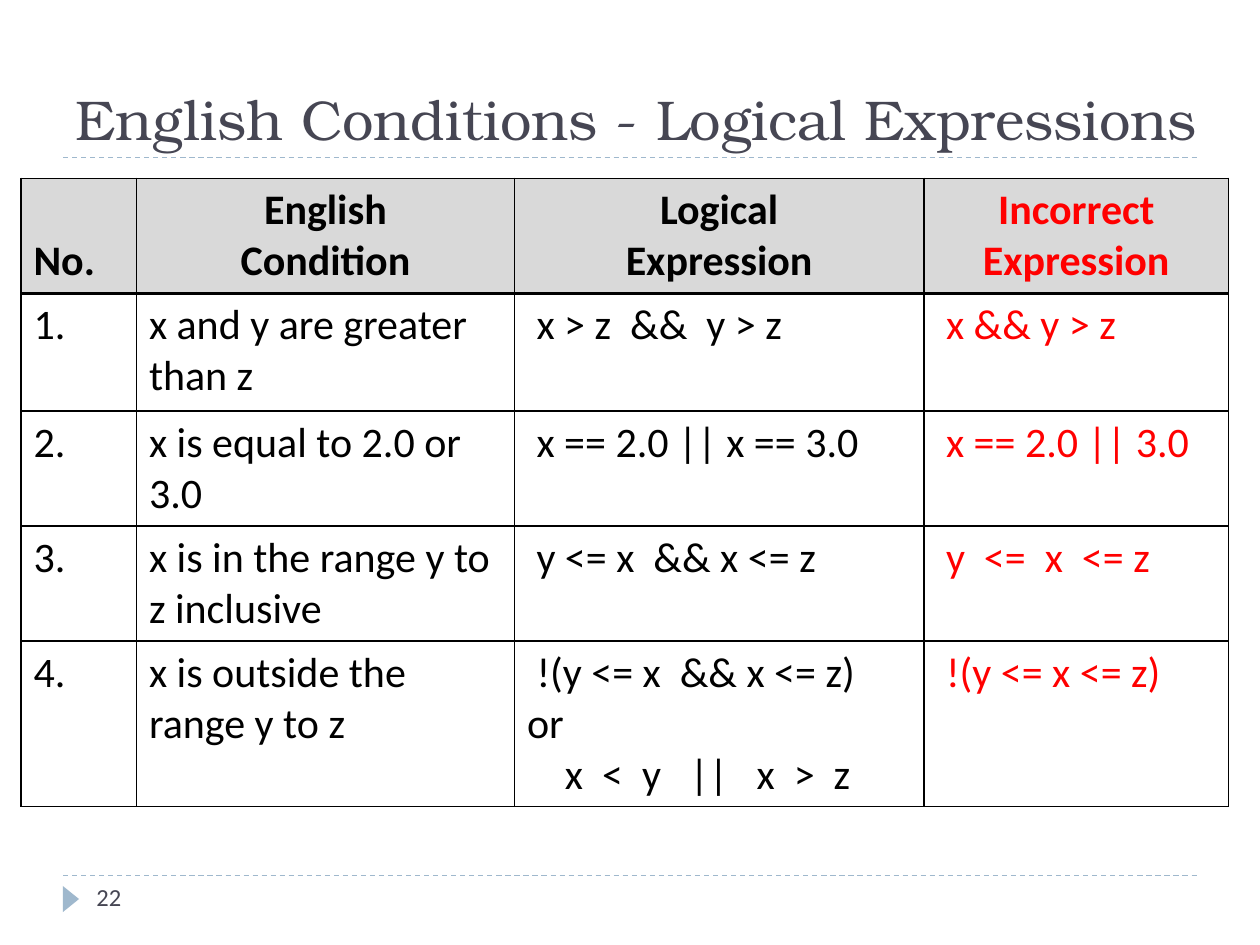
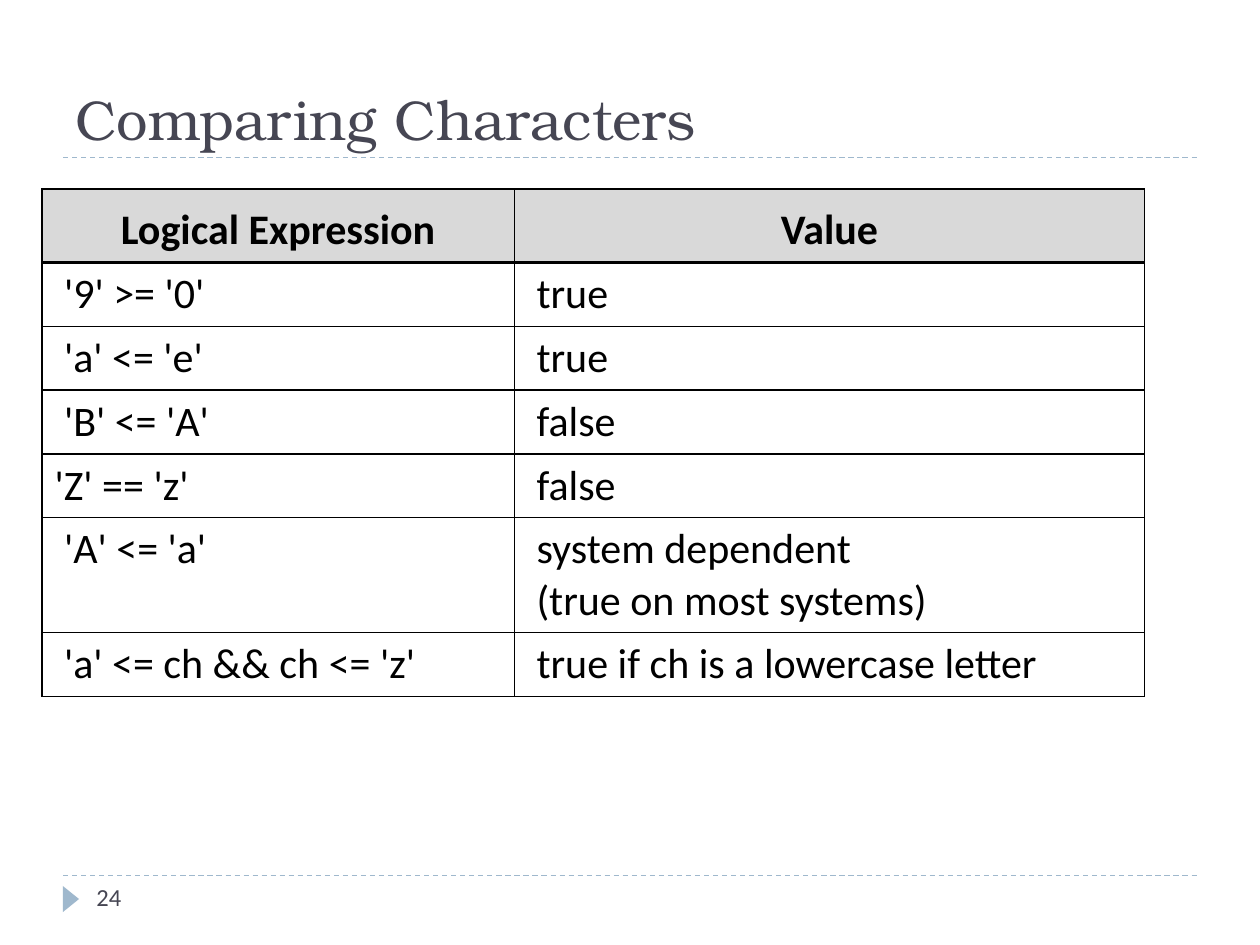
from dataclasses import dataclass

from lxml.etree import SubElement
from pptx import Presentation
from pptx.dml.color import RGBColor
from pptx.enum.dml import MSO_LINE
from pptx.enum.shapes import MSO_CONNECTOR, MSO_SHAPE
from pptx.enum.text import MSO_ANCHOR, PP_ALIGN
from pptx.oxml.ns import qn
from pptx.util import Inches, Pt


@dataclass(frozen=True)
class Theme:
    title_font: str = "TeX Gyre Bonum"
    body_font: str = "Calibri"
    title_size: int = 32
    table_size: int = 24
    number_size: int = 14
    heading: str = "464653"
    accent: str = "9FB8CD"
    ink: str = "000000"
    wrong: str = "FF0000"
    header_fill: str = "D9D9D9"
    border: float = 1
    header_border: float = 2
    rule: float = 0.75


@dataclass(frozen=True)
class Column:
    header: str
    width: float
    color: str = Theme.ink
    inset: float = 1.2
    header_align: PP_ALIGN = PP_ALIGN.CENTER


THEME = Theme()
COLUMNS, ROWS = 120, 90  # grid cells across and down the slide
RULE_LEFT, RULE_RIGHT = 6, 114
TITLE_RULE, FOOTER_RULE = 15, 83.4
TITLE_BOX = (6, 2, 111, 13)
NUMBER_BOX = (8, FOOTER_RULE, 26, 4.8)
MARKER_BOX = (5.5, 84.85, 2.5, 1.55)


def grid(units):
    return Inches(units / 12)


def style(paragraph, font, size, color, bold=False):
    paragraph.font.name = font
    paragraph.font.size = Pt(size)
    paragraph.font.color.rgb = RGBColor.from_string(color)
    paragraph.font.bold = bold


def add_text(slide, box, text, font, size, anchor):
    frame = slide.shapes.add_textbox(*map(grid, box)).text_frame
    frame.word_wrap = True
    frame.vertical_anchor = anchor
    frame.text = text
    style(frame.paragraphs[0], font, size, THEME.heading)


def add_rule(slide, y):
    rule = slide.shapes.add_connector(
        MSO_CONNECTOR.STRAIGHT, grid(RULE_LEFT), grid(y), grid(RULE_RIGHT), grid(y))
    rule.line.color.rgb = RGBColor.from_string(THEME.accent)
    rule.line.width = Pt(THEME.rule)
    rule.line.dash_style = MSO_LINE.DASH
    SubElement(rule._element.spPr, qn("a:effectLst"))


def add_frame(slide, title, number):
    """Title, dashed rules, and footer with marker and slide number."""
    add_rule(slide, FOOTER_RULE)
    add_rule(slide, TITLE_RULE)
    marker = slide.shapes.add_shape(
        MSO_SHAPE.ISOSCELES_TRIANGLE, *map(grid, MARKER_BOX))
    marker.rotation = 90
    marker.shadow.inherit = False
    marker.fill.solid()
    marker.fill.fore_color.rgb = RGBColor.from_string(THEME.accent)
    marker.line.fill.background()
    add_text(slide, TITLE_BOX, title, THEME.title_font, THEME.title_size,
             MSO_ANCHOR.BOTTOM)
    add_text(slide, NUMBER_BOX, str(number), THEME.body_font, THEME.number_size,
             MSO_ANCHOR.TOP)


def set_borders(cell, **widths):
    properties = cell._tc.get_or_add_tcPr()
    for side in "LRTB":
        width = widths.get(side, THEME.border)
        line = SubElement(properties, qn(f"a:ln{side}"), w=str(Pt(width)))
        fill = SubElement(line, qn("a:solidFill"))
        SubElement(fill, qn("a:srgbClr"), val=THEME.ink)


def fill_cell(cell, text, column, row_index):
    is_header = row_index == 0
    if is_header:
        set_borders(cell, B=THEME.header_border)
        cell.fill.solid()
        cell.fill.fore_color.rgb = RGBColor.from_string(THEME.header_fill)
        cell.vertical_anchor = MSO_ANCHOR.BOTTOM
    else:
        top = THEME.header_border if row_index == 1 else THEME.border
        set_borders(cell, T=top)
        cell.fill.background()
        cell.margin_left = grid(column.inset)
    cell.text_frame.text = text
    for paragraph in cell.text_frame.paragraphs:
        paragraph.alignment = column.header_align if is_header else PP_ALIGN.LEFT
        style(paragraph, THEME.body_font, THEME.table_size, column.color, is_header)


def add_grid_table(slide, left, top, columns, heights, body):
    rows = [[column.header for column in columns], *body]
    width = sum(column.width for column in columns)
    table = slide.shapes.add_table(
        len(rows), len(columns), grid(left), grid(top), grid(width),
        grid(sum(heights))).table
    table.first_row = table.horz_banding = False
    for table_column, column in zip(table.columns, columns):
        table_column.width = grid(column.width)
    for row_index, (texts, height) in enumerate(zip(rows, heights)):
        table.rows[row_index].height = grid(height)
        for column_index, (text, column) in enumerate(zip(texts, columns)):
            fill_cell(table.cell(row_index, column_index), text, column, row_index)


def add_conditions_slide(slide):
    add_frame(slide, "English Conditions - Logical Expressions", 22)
    columns = [
        Column("No.", 11, header_align=PP_ALIGN.LEFT),
        Column("English\nCondition", 36),
        Column("Logical\nExpression", 39),
        Column("Incorrect Expression", 29, color=THEME.wrong),
    ]
    body = [
        ("1.", "x and y are greater than z", " x > z  &&  y > z", " x && y > z"),
        ("2.", "x is equal to 2.0 or 3.0", " x == 2.0 || x == 3.0",
         " x == 2.0 || 3.0"),
        ("3.", "x is in the range y to z inclusive", " y <= x  && x <= z",
         " y  <=  x  <= z"),
        ("4.", "x is outside the range y to z",
         " !(y <= x  && x <= z)\nor\n    x  <  y   ||   x  >  z",
         " !(y <= x <= z)"),
    ]
    add_grid_table(slide, 2, 17, columns, [10.95, 11.2, 10.95, 10.95, 15.8], body)


def add_characters_slide(slide):
    add_frame(slide, "Comparing Characters", 24)
    columns = [Column("Logical Expression", 45), Column("Value", 60, inset=2.1)]
    body = [
        (" '9' >= '0'", "true"),
        (" 'a' <= 'e'", "true"),
        (" 'B' <= 'A'", "false"),
        ("'Z' == 'z'", "false"),
        (" 'A' <= 'a'", "system dependent\n(true on most systems)"),
        (" 'a' <= ch && ch <= 'z'", "true if ch is a lowercase letter"),
    ]
    heights = [7] + [6.08] * 4 + [10.95, 6.08]
    add_grid_table(slide, 4, 18, columns, heights, body)


def main():
    presentation = Presentation()
    presentation.slide_width = grid(COLUMNS)
    presentation.slide_height = grid(ROWS)
    blank = presentation.slide_layouts[6]
    for build in (add_conditions_slide, add_characters_slide):
        build(presentation.slides.add_slide(blank))
    presentation.save("out.pptx")


if __name__ == "__main__":
    main()
